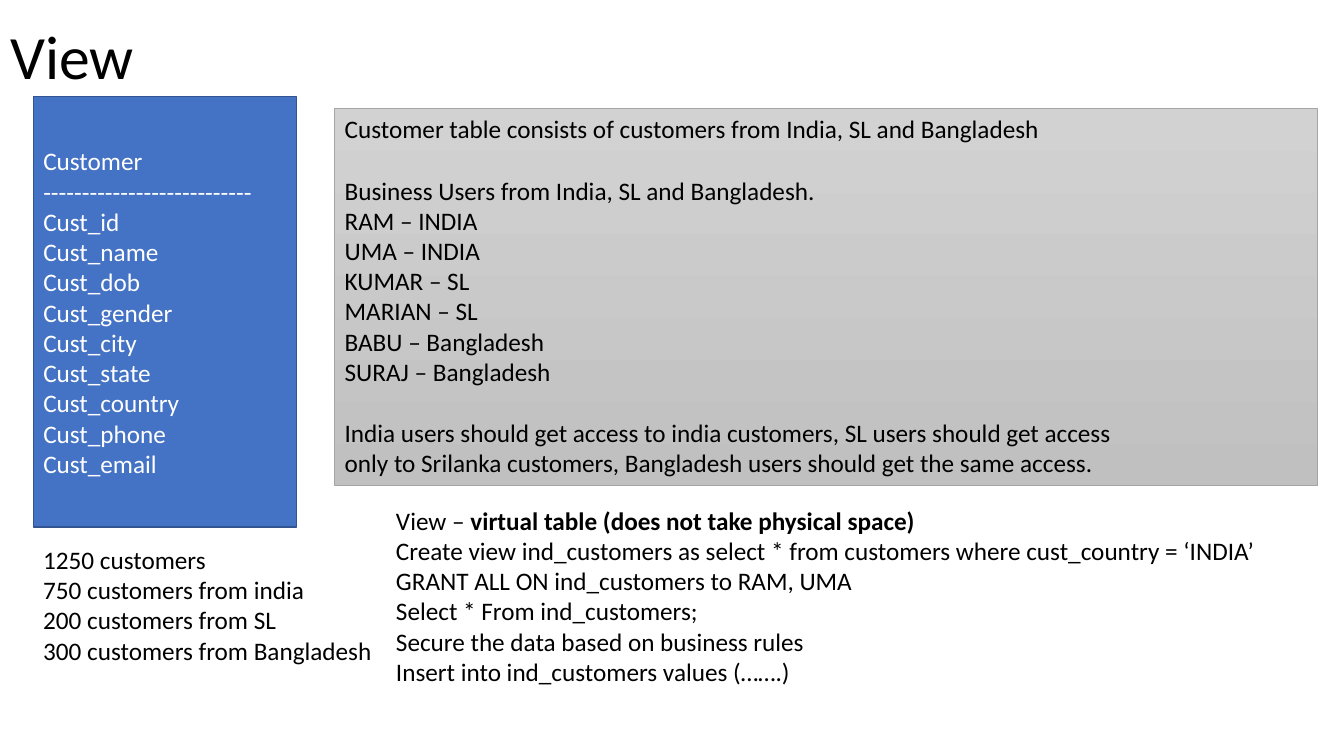
from pptx import Presentation
from pptx.dml.color import RGBColor
from pptx.enum.shapes import MSO_SHAPE
from pptx.enum.text import MSO_ANCHOR, MSO_AUTO_SIZE, PP_ALIGN
from pptx.util import Inches, Pt

WIDTH, HEIGHT = Inches(13.33), Inches(7.5)
FONT = "Calibri"
LINE_GAP = Pt(22)
BLACK = RGBColor(0x00, 0x00, 0x00)
WHITE = RGBColor(0xFF, 0xFF, 0xFF)
BLUE = RGBColor(0x44, 0x72, 0xC4)
DARK_BLUE = RGBColor(0x32, 0x54, 0x91)
LIGHT_GRAY = RGBColor(0xD2, 0xD2, 0xD2)
MID_GRAY = RGBColor(0xC0, 0xC0, 0xC0)
EDGE_GRAY = RGBColor(0xA5, 0xA5, 0xA5)

CUSTOMER_TABLE = [
    "Customer", "-" * 27, "Cust_id", "Cust_name", "Cust_dob", "Cust_gender",
    "Cust_city", "Cust_state", "Cust_country", "Cust_phone", "Cust_email",
]
BUSINESS_CASE = [
    "Customer table consists of customers from India, SL and Bangladesh",
    "Business Users from India, SL and Bangladesh.",
    "RAM – INDIA",
    "UMA – INDIA",
    "KUMAR – SL",
    "MARIAN – SL",
    "BABU – Bangladesh",
    "SURAJ – Bangladesh",
    "India users should get access to india customers, SL users should get access\v"
    "only to Srilanka customers, Bangladesh users should get the same access.",
]
CUSTOMER_COUNTS = [
    "1250 customers",
    "750 customers from india",
    "200 customers from SL",
    "300 customers from Bangladesh",
]
VIEW_NOTES = [
    "View – ",
    "Create view ind_customers as select * from customers where cust_country = ‘INDIA’",
    "GRANT ALL ON ind_customers to RAM, UMA",
    "Select * From ind_customers;",
    "Secure the data based on business rules",
    "Insert into ind_customers values (…….)",
]


def share_box(left, top, width, height):
    """Turn percentages of the slide into left, top, width and height."""
    return (int(WIDTH * left / 100), int(HEIGHT * top / 100),
            int(WIDTH * width / 100), int(HEIGHT * height / 100))


def write_lines(frame, lines, color, size=18):
    """Fill a text frame with left-aligned lines in the slide's font."""
    frame.text = "\n".join(lines)
    for paragraph in frame.paragraphs:
        paragraph.alignment = PP_ALIGN.LEFT
        for run in paragraph.runs:
            run.font.name = FONT
            run.font.size = Pt(size)
            run.font.color.rgb = color


def add_heading(slide, box):
    """Place the slide title in its placeholder."""
    heading = slide.shapes.title
    heading.left, heading.top, heading.width, heading.height = box
    frame = heading.text_frame
    frame.auto_size = MSO_AUTO_SIZE.NONE
    frame.vertical_anchor = MSO_ANCHOR.MIDDLE
    write_lines(frame, ["View"], BLACK, 44)
    frame.paragraphs[0].line_spacing = 0.9


def add_panel(slide, box, lines, color, edge, edge_width):
    """Draw an outlined rectangle with lines of text."""
    panel = slide.shapes.add_shape(MSO_SHAPE.RECTANGLE, *box)
    panel.shadow.inherit = False
    panel.line.color.rgb = edge
    panel.line.width = Pt(edge_width)
    panel.text_frame.word_wrap = True
    write_lines(panel.text_frame, lines, color)
    return panel


def add_customer_table(slide, box):
    """Draw the blue panel listing the customer columns."""
    customer = add_panel(slide, box, CUSTOMER_TABLE, WHITE, DARK_BLUE, 1)
    customer.fill.solid()
    customer.fill.fore_color.rgb = BLUE
    customer.text_frame.vertical_anchor = MSO_ANCHOR.MIDDLE


def add_business_case(slide, box):
    """Draw the gray panel describing users and their access."""
    business = add_panel(slide, box, BUSINESS_CASE, BLACK, EDGE_GRAY, 0.5)
    business.fill.gradient()
    business.fill.gradient_angle = 270
    for stop, shade in zip(business.fill.gradient_stops, (LIGHT_GRAY, MID_GRAY)):
        stop.color.rgb = shade
    frame = business.text_frame
    frame.vertical_anchor = MSO_ANCHOR.TOP
    for opening in (1, len(BUSINESS_CASE) - 1):
        frame.paragraphs[opening].space_before = LINE_GAP


def add_notes(slide, box, lines):
    """Place unwrapped text and return its frame."""
    frame = slide.shapes.add_textbox(*box).text_frame
    frame.word_wrap = False
    write_lines(frame, lines, BLACK)
    return frame


def add_view_notes(slide, box):
    """Place the view statements with a bold definition."""
    frame = add_notes(slide, box, VIEW_NOTES)
    definition = frame.paragraphs[0].add_run()
    definition.text = "virtual table (does not take physical space)"
    definition.font.name = FONT
    definition.font.size = Pt(18)
    definition.font.bold = True
    definition.font.color.rgb = BLACK


def main():
    """Build and save the slide."""
    deck = Presentation()
    deck.slide_width, deck.slide_height = WIDTH, HEIGHT
    slide = deck.slides.add_slide(deck.slide_layouts.get_by_name("Title Only"))
    add_heading(slide, share_box(0, 2, 92.72, 11.87))
    add_customer_table(slide, share_box(2.48, 12.8, 19.58, 56.93))
    add_business_case(slide, share_box(24.91, 14.4, 73.14, 49.87))
    add_notes(slide, share_box(2.48, 71.33, 26.18, 17.47), CUSTOMER_COUNTS)
    add_view_notes(slide, share_box(28.73, 66.13, 66.17, 25.6))
    deck.save("out.pptx")


if __name__ == "__main__":
    main()
